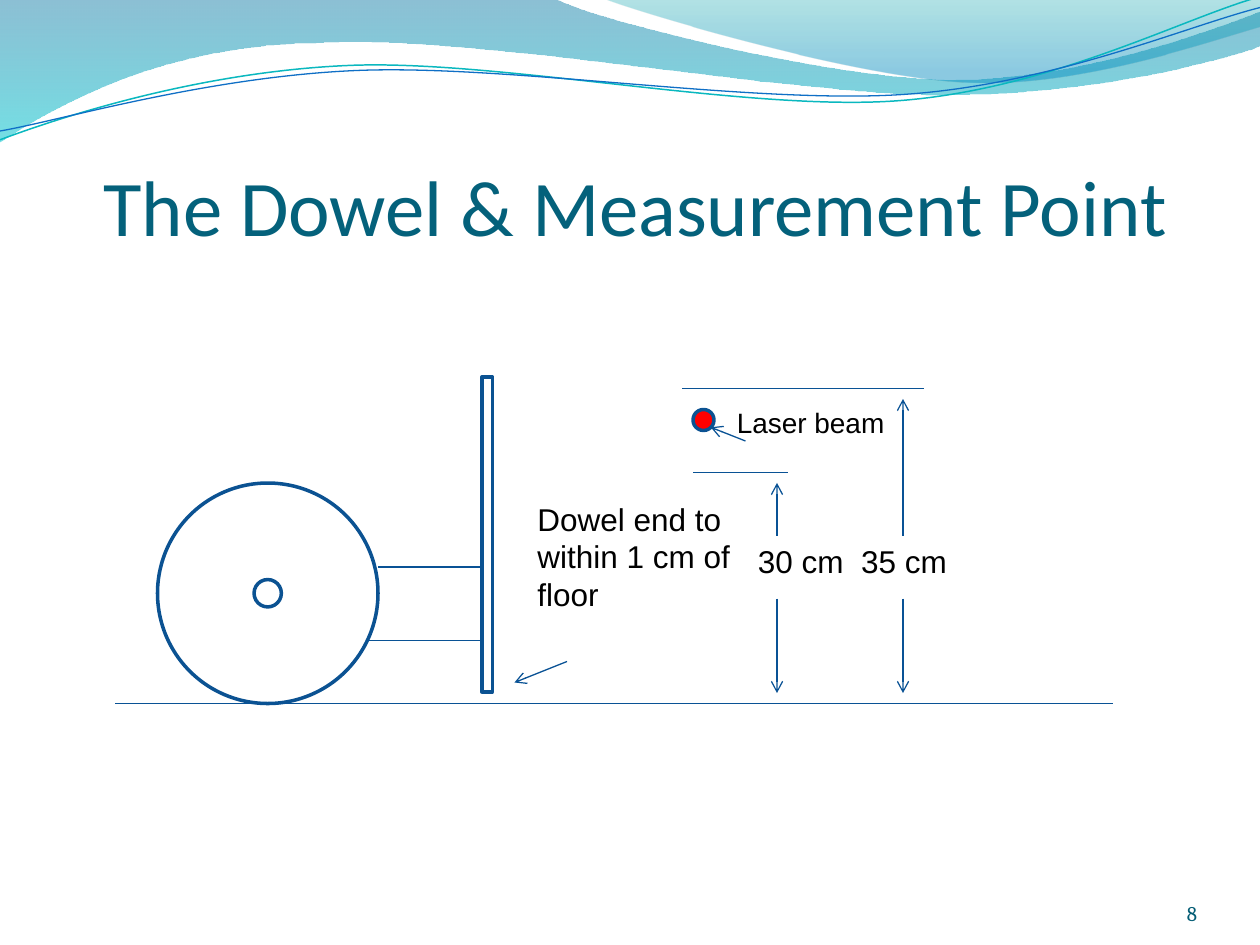
from pptx import Presentation
from pptx.dml.color import RGBColor
from pptx.enum.shapes import MSO_CONNECTOR as CONNECTOR, MSO_SHAPE as SHAPE
from pptx.enum.text import MSO_ANCHOR as ANCHOR, PP_ALIGN as ALIGN
from pptx.oxml.ns import qn
from pptx.util import Inches, Pt
from lxml.etree import SubElement

CELLS_PER_INCH = 12
OUTLINE, RULE, BLACK = "0B5292", "095295", "000000"
GROUND, BEAM_TOP, BEAM_BOTTOM = 67, 37, 45

BANDS = [
    ([(0, -0.01), (4.4, -0.01),
      (4.76, 0.17, 6.64, 0.63, 7.58, 0.63), (8.53, 0.63, 9.58, 0.26, 10, 0.09),
      (10.01, 0.36),
      (9.83, 0.44, 8.7, 0.76, 7.46, 0.75), (6.22, 0.75, 3.82, 0.28, 2.57, 0.34),
      (1.29, 0.35, 0.46, 0.83, -0.01, 1.13)],
     [(0, "0074A1", 45), (1, "00C6CF", 55)]),
    ([(4.79, -0.01),
      (5.09, 0.11, 6.82, 0.62, 7.69, 0.65), (8.56, 0.69, 9.61, 0.32, 10, 0.21),
      (10, 0)],
     [(0, "00A1A9", 30), (0.8, "008BBF", 45)]),
]
WAVES = [
    ([(0, 1.11), (0.48, 0.93, 1.58, 0.57, 2.77, 0.52),
      (3.95, 0.47, 5.93, 0.89, 7.13, 0.8), (8.33, 0.71, 9.38, 0.15, 9.98, -0.02)],
     "0AB8BF", 0.85),
    ([(0, 1.04), (0.47, 0.96, 1.64, 0.61, 2.83, 0.56),
      (4.03, 0.51, 5.97, 0.83, 7.17, 0.75), (8.36, 0.67, 9.41, 0.21, 10, 0.06)],
     "0F6FC6", 0.75),
]


def cells(count):
    """Turn a number of grid cells into a length."""
    return Inches(count / CELLS_PER_INCH)


def color(hex_code):
    """Turn a hex string into a colour."""
    return RGBColor.from_string(hex_code)


def set_line(line, hex_code, width):
    """Colour a line and set its width in points."""
    line.color.rgb = color(hex_code)
    line.width = Pt(width)


def bend(shape, segments):
    """Join each three straight steps of a six-number segment into one curve."""
    steps = iter(list(shape._element.spPr.iter(qn("a:lnTo"))))
    for segment in segments:
        first = next(steps)
        if len(segment) == 6:
            curve = first.makeelement(qn("a:cubicBezTo"))
            first.addprevious(curve)
            for step in (first, next(steps), next(steps)):
                curve.append(step[0])
                step.getparent().remove(step)


def add_outline(slide, segments, close):
    """Draw a freeform from points and curves given in inches."""
    points = [(Inches(x), Inches(y)) for segment in segments
              for x, y in zip(segment[::2], segment[1::2])]
    builder = slide.shapes.build_freeform(*points[0])
    builder.add_line_segments(points[1:], close=close)
    shape = builder.convert_to_shape()
    shape.shadow.inherit = False
    bend(shape, segments[1:])
    return shape


def add_band(slide, segments, stops):
    """Add a translucent band that fades downwards."""
    shape = add_outline(slide, segments, True)
    shape.fill.gradient()
    shape.fill.gradient_angle = 270
    for stop, (position, hex_code, _) in zip(shape.fill.gradient_stops, stops):
        stop.position = position
        stop.color.rgb = color(hex_code)
    tints = list(shape._element.spPr.iter(qn("a:srgbClr")))
    for tint, (_, _, opacity) in zip(tints, stops):
        SubElement(tint, qn("a:alpha")).set("val", str(opacity * 1000))
    shape.line.fill.background()


def add_wave(slide, segments, hex_code, width):
    """Add a thin wavy line."""
    shape = add_outline(slide, segments, False)
    shape.fill.background()
    set_line(shape.line, hex_code, width)


def add_part(slide, kind, left, top, width, height, fill=None):
    """Add an outlined part of the device."""
    shape = slide.shapes.add_shape(kind, *map(cells, (left, top, width, height)))
    shape.shadow.inherit = False
    if fill:
        shape.fill.solid()
        shape.fill.fore_color.rgb = color(fill)
    else:
        shape.fill.background()
    set_line(shape.line, OUTLINE, 2)
    return shape


def add_rule(slide, x1, y1, x2, y2, arrow=False):
    """Add a thin straight line, with an arrowhead at its end if asked."""
    rule = slide.shapes.add_connector(CONNECTOR.STRAIGHT, *map(cells, (x1, y1, x2, y2)))
    set_line(rule.line, RULE, 0.75)
    if arrow:
        SubElement(rule.line._get_or_add_ln(), qn("a:tailEnd")).set("type", "arrow")
    SubElement(rule._element.spPr, qn("a:effectLst"))


def add_text(slide, text, box, size, font="Arial", hex_code=BLACK,
             align=ALIGN.LEFT, anchor=ANCHOR.TOP, insets=(0.1, 0.05, 0.1, 0.05)):
    """Add a one-run text box on the grid."""
    frame = slide.shapes.add_textbox(*map(cells, box)).text_frame
    frame.word_wrap = True
    frame.vertical_anchor = anchor
    (frame.margin_left, frame.margin_top,
     frame.margin_right, frame.margin_bottom) = map(Inches, insets)
    paragraph = frame.paragraphs[0]
    paragraph.alignment = align
    run = paragraph.add_run()
    run.text = text
    run.font.name = font
    run.font.size = Pt(size)
    run.font.color.rgb = color(hex_code)


def add_header(slide):
    """Add the waves, the title and the slide number."""
    for band in BANDS:
        add_band(slide, *band)
    for wave in WAVES:
        add_wave(slide, *wave)
    add_text(slide, "The Dowel & Measurement Point", (6, 9, 109, 15), 45, "Calibri",
             "04617B", ALIGN.CENTER, ANCHOR.BOTTOM, (0, 0.05, 0, 0))
    add_text(slide, "8", (104, 83.4, 10, 4.8), 12, "Cambria",
             "045D75", ALIGN.RIGHT, ANCHOR.BOTTOM, (0, 0, 0, 0))


def add_device(slide):
    """Add the wheel, its bracket, the dowel and the floor."""
    wheel = add_part(slide, SHAPE.DONUT, 15, 46, 21, 21)
    wheel.adjustments[0] = 0.438
    for ends in ((36, 54, 46, 54), (35, 61, 46, 61), (46, 54, 46, 61)):
        add_rule(slide, *ends)
    add_part(slide, SHAPE.RECTANGLE, 45.9, 35.9, 1, 30)
    add_rule(slide, 11, GROUND, 106, GROUND)


def add_measurements(slide):
    """Add the laser beam, the heights that bound it and the notes."""
    add_part(slide, SHAPE.OVAL, 66, 39, 2, 2, "FF0000")
    add_rule(slide, 65, BEAM_TOP, 88, BEAM_TOP)
    add_rule(slide, 66, BEAM_BOTTOM, 75, BEAM_BOTTOM)
    add_text(slide, "Dowel end to within 1 cm of floor", (50, 47, 21, 12.1), 18)
    add_rule(slide, 54, 63, 49, 65, arrow=True)
    for column, limit in ((74, BEAM_BOTTOM), (86, BEAM_TOP)):
        add_rule(slide, column, 51, column, limit + 1, arrow=True)
        add_rule(slide, column, 57, column, GROUND - 1, arrow=True)
    add_text(slide, "30 cm  35 cm", (71, 51, 22, 4.8), 18)
    add_text(slide, "Laser beam", (69, 38, 18, 4.4), 16)
    add_rule(slide, 71, 42, 67.7, 40.7, arrow=True)


def main():
    """Build and save the slide."""
    presentation = Presentation()
    presentation.slide_width = Inches(10)
    presentation.slide_height = Inches(7.5)
    slide = presentation.slides.add_slide(presentation.slide_layouts[6])
    add_header(slide)
    add_device(slide)
    add_measurements(slide)
    presentation.save("out.pptx")


if __name__ == "__main__":
    main()
